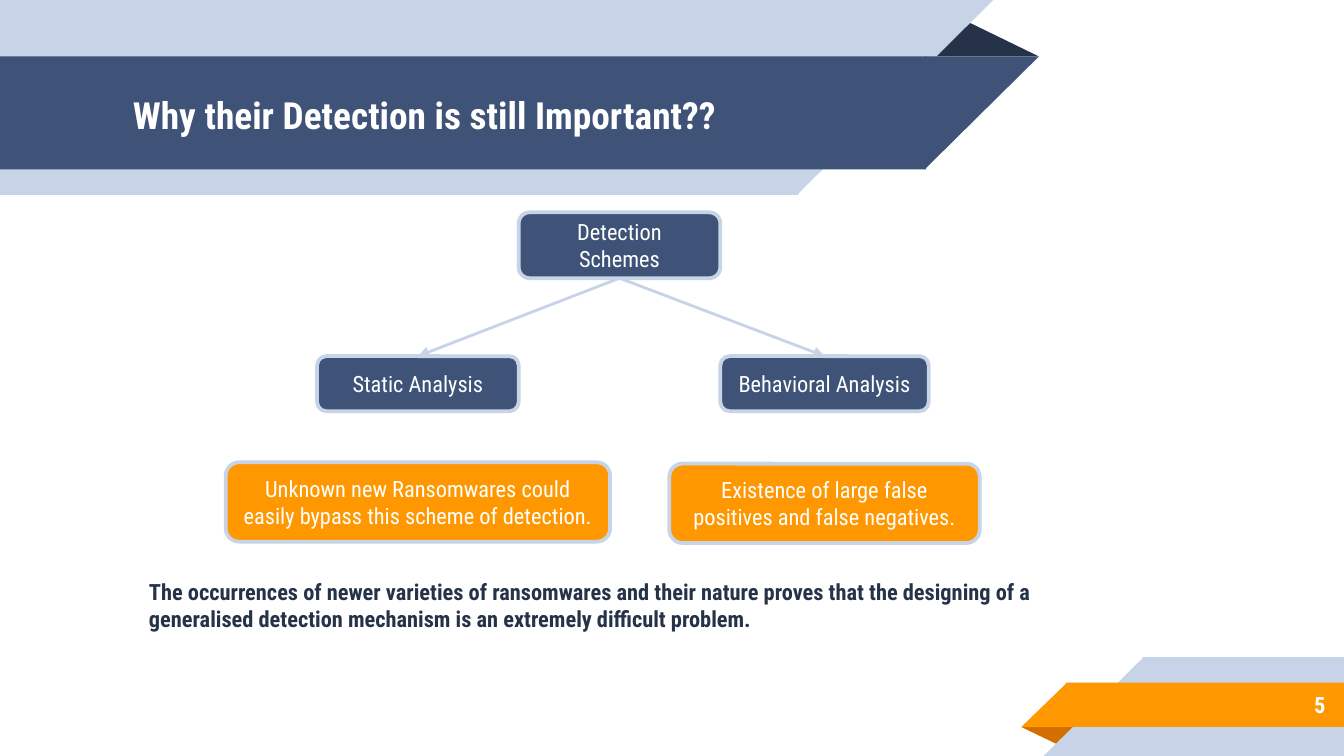
from typing import NamedTuple, Optional

from lxml.etree import SubElement
from pptx import Presentation
from pptx.dml.color import RGBColor
from pptx.enum.shapes import MSO_CONNECTOR, MSO_SHAPE
from pptx.enum.text import MSO_ANCHOR, PP_ALIGN
from pptx.oxml.ns import qn
from pptx.util import Emu, Pt

PX = 9144  # 100 px to the inch
FONT = "Roboto Condensed"
COLORS = {
    "navy": "3F5378",
    "dark": "263248",
    "pale": "C7D3E6",
    "orange": "FF9800",
    "rust": "D26F00",
    "white": "FFFFFF",
}
RECT, CORNER, FOLD = MSO_SHAPE.RECTANGLE, MSO_SHAPE.RIGHT_TRIANGLE, MSO_SHAPE.ISOSCELES_TRIANGLE


class Area(NamedTuple):
    x: int
    y: int
    w: int
    h: int


class Piece(NamedTuple):
    kind: MSO_SHAPE
    area: Area
    color: str
    turned: bool = False


class Box(NamedTuple):
    area: Area
    color: str
    text: str


class Label(NamedTuple):
    area: Area
    text: str
    size: int = 12
    color: str = "white"
    align: Optional[PP_ALIGN] = None
    anchor: MSO_ANCHOR = MSO_ANCHOR.MIDDLE
    inset_y: int = 10
    indent: int = 0


def band(x: int, y: int, w: int, h: int, color: str, top: bool) -> list[Piece]:
    """A rectangle with a slanted end, right at the top, else left; they overlap by 1 px."""
    corner_x = x + w - 1 if top else x - h
    return [
        Piece(RECT, Area(x, y, w, h), color, top),
        Piece(CORNER, Area(corner_x, y, h + 1, h), color, top),
    ]


RIBBONS = [
    Piece(FOLD, Area(688, 14, 85, 28), "dark"),
    *band(0, 0, 594, 145, "pale", True),
    *band(0, 42, 689, 84, "navy", True),
    Piece(FOLD, Area(760, 541, 43, 14), "rust", True),
    *band(850, 489, 150, 74, "pale", False),
    *band(793, 508, 208, 33, "orange", False),
]
LABELS = [
    Label(Area(89, 43, 575, 84), "Why their Detection is still Important??", size=20),
    Label(Area(833, 507, 163, 35), "5", align=PP_ALIGN.RIGHT),
    Label(
        Area(89, 425, 744, 50),
        "The occurrences of newer varieties of ransomwares and their nature proves "
        "that the designing of a generalised detection mechanism is an extremely "
        "difficult problem.",
        color="dark", anchor=MSO_ANCHOR.TOP, inset_y=5, indent=12,
    ),
]
ROOT = Box(Area(386, 158, 150, 49), "navy", "Detection Schemes")
BRANCHES = [
    Box(Area(236, 265, 150, 41), "navy", "Static Analysis"),
    Box(Area(536, 265, 155, 41), "navy", "Behavioral Analysis"),
]
DRAWBACKS = [
    Box(Area(498, 345, 231, 59), "orange",
        "Existence of large false positives and false negatives."),
    Box(Area(168, 344, 286, 59), "orange",
        "Unknown new Ransomwares could easily bypass this scheme of detection."),
]


def rgb(name: str) -> RGBColor:
    return RGBColor.from_string(COLORS[name])


def emu(area: Area) -> list[Emu]:
    return [Emu(v * PX) for v in area]


def add_run(p, text: str, size: int, color: str, bold: bool) -> None:
    r = p.add_run()
    r.text = text
    r.font.name = FONT
    r.font.size = Pt(size)
    r.font.bold = bold
    r.font.color.rgb = rgb(color)


def add_filled(slide, kind: MSO_SHAPE, area: Area, color: str):
    sp = slide.shapes.add_shape(kind, *emu(area))
    sp.shadow.inherit = False
    sp.fill.solid()
    sp.fill.fore_color.rgb = rgb(color)
    return sp


def add_piece(slide, piece: Piece) -> None:
    sp = add_filled(slide, piece.kind, piece.area, piece.color)
    sp.line.fill.background()
    if piece.kind == FOLD:
        sp.adjustments[0] = 0.324
    if piece.kind == CORNER:
        sp._element.spPr.find(qn("a:xfrm")).set("flipH", "1")
    if piece.turned:
        sp.rotation = 180


def add_label(slide, label: Label) -> None:
    sp = slide.shapes.add_textbox(*emu(label.area))
    tf = sp.text_frame
    tf.word_wrap = True
    tf.vertical_anchor = label.anchor
    tf.margin_left = tf.margin_right = Emu(10 * PX)
    tf.margin_top = tf.margin_bottom = Emu(label.inset_y * PX)
    p = tf.paragraphs[0]
    p.alignment = label.align
    if label.indent:
        pPr = p._p.get_or_add_pPr()
        pPr.set("marL", str(label.indent * PX))
        pPr.set("indent", "0")
    add_run(p, label.text, label.size, label.color, True)


def add_box(slide, box: Box):
    sp = add_filled(slide, MSO_SHAPE.ROUNDED_RECTANGLE, box.area, box.color)
    sp.line.color.rgb = rgb("pale")
    sp.line.width = Pt(2)
    tf = sp.text_frame
    tf.word_wrap = True
    tf.vertical_anchor = MSO_ANCHOR.MIDDLE
    p = tf.paragraphs[0]
    p.alignment = PP_ALIGN.CENTER
    add_run(p, box.text, 12, "white", False)
    return sp


def add_arrow(slide, parent, child) -> None:
    """An arrow from the bottom of parent to the top of child."""
    cxn = slide.shapes.add_connector(MSO_CONNECTOR.STRAIGHT, 0, 0, 0, 0)
    cxn.begin_connect(parent, 2)
    cxn.end_connect(child, 0)
    cxn.line.color.rgb = rgb("pale")
    cxn.line.width = Pt(1.5)
    SubElement(cxn.line._get_or_add_ln(), qn("a:tailEnd"), type="triangle")
    SubElement(cxn._element.spPr, qn("a:effectLst"))


def main() -> None:
    prs = Presentation()
    prs.slide_width = Emu(1000 * PX)
    prs.slide_height = Emu(prs.slide_width * 9 // 16)
    slide = prs.slides.add_slide(prs.slide_layouts[6])
    for piece in RIBBONS:
        add_piece(slide, piece)
    for label in LABELS:
        add_label(slide, label)
    root = add_box(slide, ROOT)
    branches = [add_box(slide, box) for box in BRANCHES]
    for branch in branches:
        add_arrow(slide, root, branch)
    for box in DRAWBACKS:
        add_box(slide, box)
    prs.save("out.pptx")


if __name__ == "__main__":
    main()
